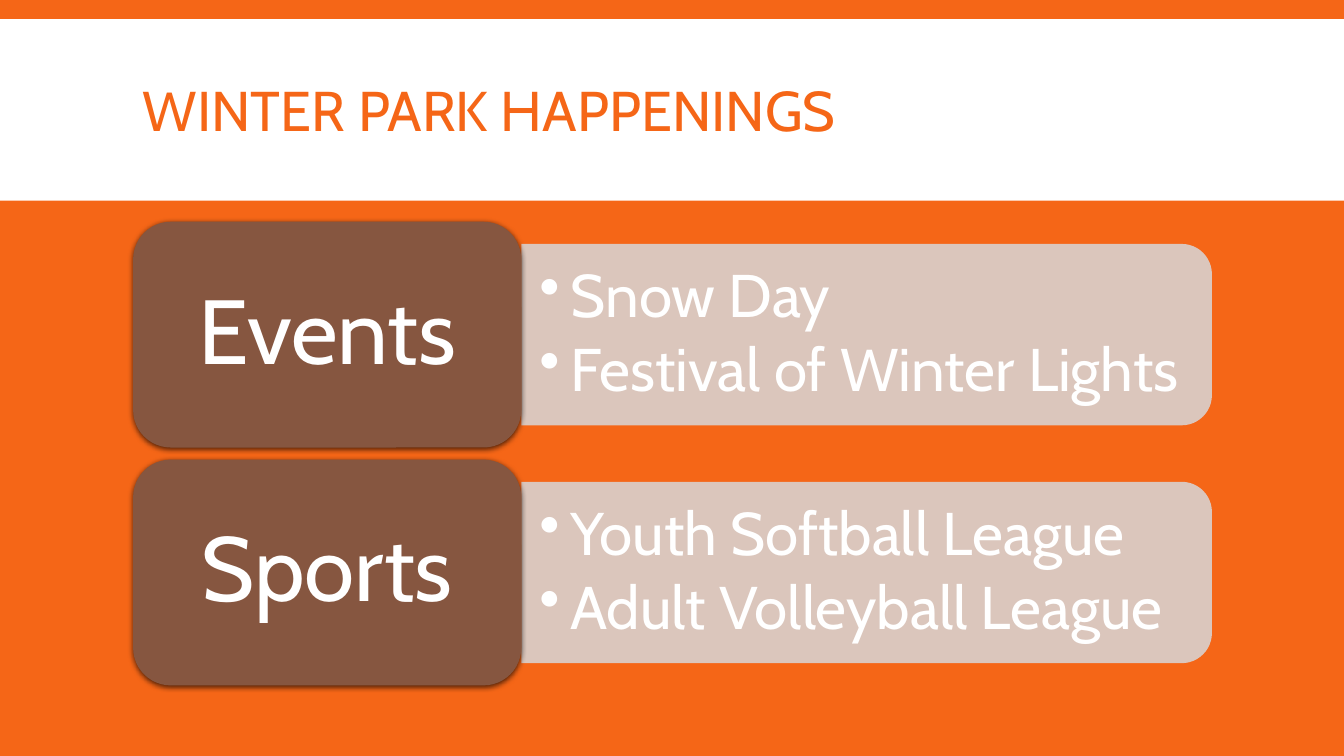
from lxml import etree
from pptx import Presentation
from pptx.dml.color import RGBColor
from pptx.enum.shapes import MSO_SHAPE
from pptx.enum.text import MSO_ANCHOR, PP_ALIGN
from pptx.oxml import parse_xml
from pptx.oxml.ns import qn
from pptx.util import Inches, Pt

RECTANGLE = MSO_SHAPE.RECTANGLE
CARD = MSO_SHAPE.ROUNDED_RECTANGLE
PANEL = MSO_SHAPE.ROUND_2_SAME_RECTANGLE
MIDDLE = MSO_ANCHOR.MIDDLE
LEFT, CENTER = PP_ALIGN.LEFT, PP_ALIGN.CENTER

COLORS = {"orange": "F56617", "white": "FFFFFF", "brown": "865640", "panel": "D9D1CF"}
FONT = "Cabin"
SHADOW = (
    '<a:effectLst xmlns:a="http://schemas.openxmlformats.org/drawingml/2006/main">'
    '<a:outerShdw blurRad="50800" dist="15240" dir="5400000" rotWithShape="0">'
    '<a:srgbClr val="000000"><a:alpha val="68000"/></a:srgbClr>'
    "</a:outerShdw></a:effectLst>"
)

# Two rows of one card and one panel each
GRID_LEFT, GRID_TOP = 1.32, 2.2
CARD_WIDTH, CARD_HEIGHT, ROW_STEP = 3.85, 2.24, 2.36
PANEL_LEFT = GRID_LEFT + CARD_WIDTH
PANEL_WIDTH, PANEL_HEIGHT = 6.85, 1.8
LIST_WIDTH, LIST_HEIGHT = 6.76, 1.62
ROWS = [
    ("Events", ["Snow Day", "Festival of Winter Lights"]),
    ("Sports", ["Youth Softball League", "Adult Volleyball League"]),
]

deck = Presentation()
deck.slide_width, deck.slide_height = Inches(13.33), Inches(7.5)
page = deck.slides.add_slide(deck.slide_layouts[6])
page.background.fill.solid()
page.background.fill.fore_color.rgb = RGBColor.from_string(COLORS["orange"])


def add_block(kind, left, top, width, height, color):
    block = page.shapes.add_shape(kind, Inches(left), Inches(top), Inches(width), Inches(height))
    block.shadow.inherit = False
    block.fill.solid()
    block.fill.fore_color.rgb = RGBColor.from_string(COLORS[color])
    block.line.fill.background()
    return block


def write_lines(box, lines, size, color, align, spacing, margins, bullets=False):
    frame = box.text_frame
    frame.word_wrap = True
    frame.vertical_anchor = MIDDLE
    frame.margin_left = frame.margin_right = Inches(margins[0])
    frame.margin_top = frame.margin_bottom = Inches(margins[1])
    for index, line in enumerate(lines):
        para = frame.add_paragraph() if index else frame.paragraphs[0]
        para.alignment = align
        para.line_spacing = spacing
        if bullets:
            para.space_after = Pt(size * 0.15)
            properties = para._p.get_or_add_pPr()
            properties.set("marL", str(Inches(0.31)))
            properties.set("indent", str(Inches(-0.31)))
            etree.SubElement(properties, qn("a:buChar")).set("char", "•")
        span = para.add_run()
        span.text = line
        span.font.name = FONT
        span.font.size = Pt(size)
        span.font.color.rgb = RGBColor.from_string(COLORS[color])


# Title band
add_block(RECTANGLE, 0, 0.19, 13.33, 1.8, "white")
title = page.shapes.add_textbox(Inches(GRID_LEFT), Inches(0.31), Inches(10.7), Inches(1.65))
write_lines(title, ["WINTER PARK HAPPENINGS"], 40, "orange", LEFT, 0.85, (0.1, 0.05))

for row, (heading, items) in enumerate(ROWS):
    card_top = GRID_TOP + row * ROW_STEP
    middle = card_top + CARD_HEIGHT / 2

    # Panel: a shape with two rounded top corners, turned to face right
    panel = add_block(
        PANEL,
        PANEL_LEFT + (PANEL_WIDTH - PANEL_HEIGHT) / 2,
        middle - PANEL_WIDTH / 2,
        PANEL_HEIGHT,
        PANEL_WIDTH,
        "panel",
    )
    panel.rotation = 90
    fill_color = panel.fill._xPr.find(qn("a:solidFill"))[0]
    etree.SubElement(fill_color, qn("a:alpha")).set("val", "90000")

    # Bulleted list
    listing = page.shapes.add_textbox(
        Inches(PANEL_LEFT), Inches(middle - LIST_HEIGHT / 2), Inches(LIST_WIDTH), Inches(LIST_HEIGHT)
    )
    write_lines(listing, items, 43, "white", LEFT, 0.9, (0.18, 0.09), bullets=True)

    # Heading card with a soft shadow below
    card = add_block(CARD, GRID_LEFT, card_top, CARD_WIDTH, CARD_HEIGHT, "brown")
    effects = card._element.spPr.find(qn("a:effectLst"))
    card._element.spPr.replace(effects, parse_xml(SHADOW))
    write_lines(card, [heading], 65, "white", CENTER, 0.9, (0.27, 0.14))

deck.save("out.pptx")
